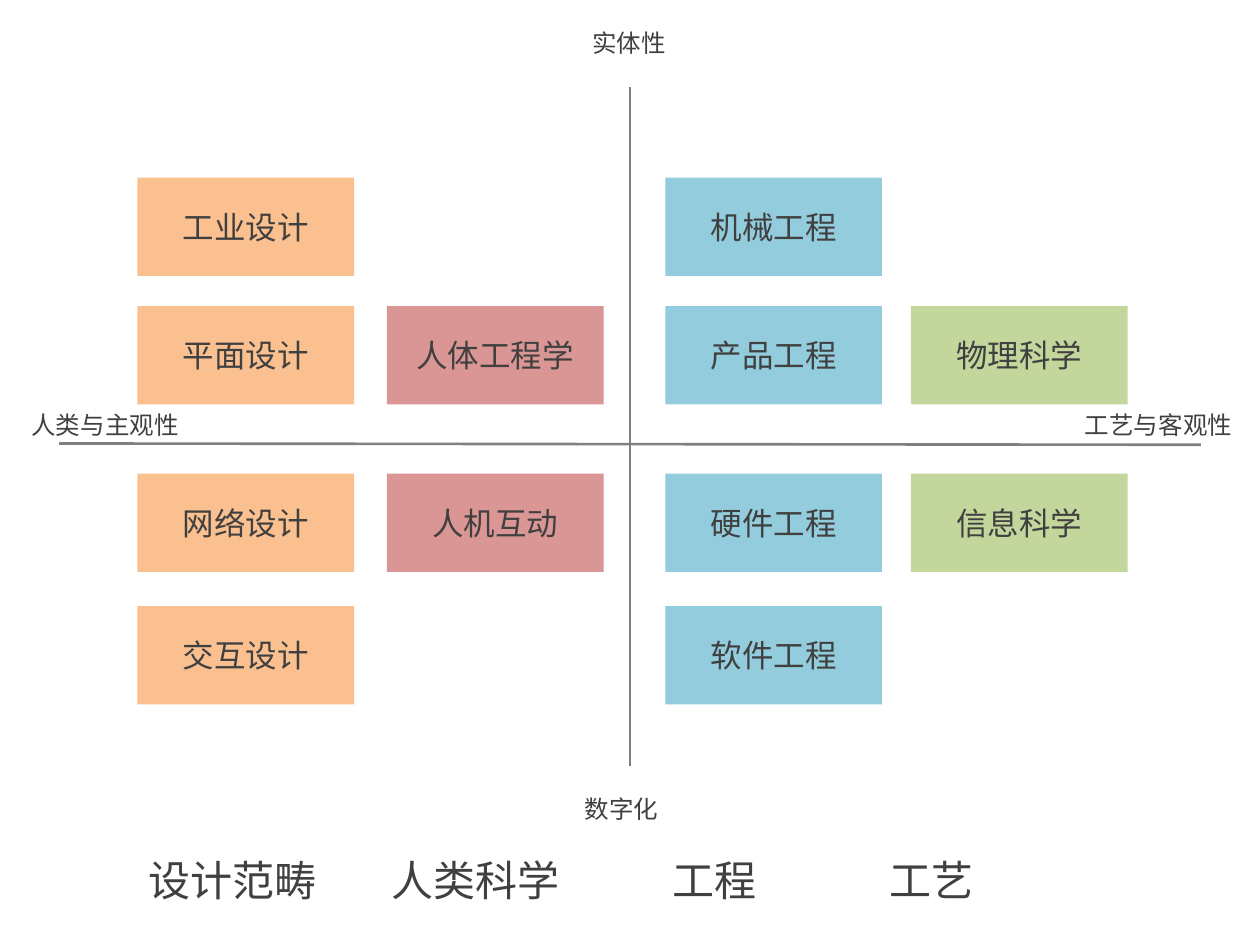
from lxml import etree
from pptx import Presentation
from pptx import util as u
from pptx.dml.color import RGBColor
from pptx.enum import shapes, text
from pptx.oxml import ns

FONT = "Noto Sans CJK SC"
COLORS = {
    "text": "404040",
    "axis": "808080",
    "design": "FAC090",
    "human": "D99694",
    "engineering": "93CDDD",
    "craft": "C3D69B",
}
CARD_WIDTH, CARD_HEIGHT = 1.72, 0.78
ROW_TOPS = [1.41, 2.43, 3.76, 4.81]
# Colour, left edge, first row, and the fields from top to bottom.
COLUMNS = [
    ("design", 1.09, 0, ["工业设计", "平面设计", "网络设计", "交互设计"]),
    ("human", 3.07, 1, ["人体工程学", "人机互动"]),
    ("engineering", 5.28, 0, ["机械工程", "产品工程", "硬件工程", "软件工程"]),
    ("craft", 7.23, 1, ["物理科学", "信息科学"]),
]
AXES = [((0.47, 3.52), (9.53, 3.53)), ((5, 0.69), (5, 6.08))]
AXIS_LABELS = [
    ("人类与主观性", 0.16, 3.19, 1.56),
    ("工艺与客观性", 8.52, 3.19, 1.56),
    ("实体性", 4.61, 0.16, 0.9),
    ("数字化", 4.55, 6.24, 0.9),
]
CATEGORIES = ["设计范畴", "人类科学", "工程", "工艺"]
CATEGORY_TABS = [1.93, 4.16, 5.88]


def color(name):
    return RGBColor.from_string(COLORS[name])


def add_child(parent, tag, **attributes):
    return etree.SubElement(parent, ns.qn(tag), **attributes)


def style_text(para, size):
    for span in para.runs:
        span.font.size = u.Pt(size)
        span.font.color.rgb = color("text")
        span.font.name = FONT
        add_child(span.font._element, "a:ea", typeface=FONT)


def add_card(page, label, fill, left, top):
    box = page.shapes.add_shape(
        shapes.MSO_SHAPE.RECTANGLE, u.Inches(left), u.Inches(top),
        u.Inches(CARD_WIDTH), u.Inches(CARD_HEIGHT))
    box.shadow.inherit = False
    box.fill.solid()
    box.fill.fore_color.rgb = color(fill)
    box.line.fill.background()
    box.text_frame.text = label
    box.text_frame.vertical_anchor = text.MSO_ANCHOR.MIDDLE
    para = box.text_frame.paragraphs[0]
    para.alignment = text.PP_ALIGN.CENTER
    style_text(para, 18)


def add_column(page, fill, left, first_row, labels):
    for label, top in zip(labels, ROW_TOPS[first_row:]):
        add_card(page, label, fill, left, top)


def add_axis(page, start, end):
    line = page.shapes.add_connector(
        shapes.MSO_CONNECTOR.STRAIGHT, *map(u.Inches, start + end))
    line.line.color.rgb = color("axis")
    line.line.width = u.Pt(1.5)
    add_child(line._element.spPr, "a:effectLst")


def add_label(page, label, left, top, width, size=14, tabs=()):
    box = page.shapes.add_textbox(
        u.Inches(left), u.Inches(top), u.Inches(width), u.Inches(0.39))
    frame = box.text_frame
    frame.word_wrap = True
    frame.margin_left = u.Inches(0.09)
    frame.margin_top = frame.margin_right = frame.margin_bottom = u.Inches(0.06)
    frame.text = label
    para = frame.paragraphs[0]
    if tabs:
        tab_list = add_child(para._p.get_or_add_pPr(), "a:tabLst")
        for stop in tabs:
            add_child(tab_list, "a:tab", pos=str(u.Inches(stop)), algn="l")
    style_text(para, size)


def add_category_line(page, left, top, width):
    add_label(page, "\t".join(CATEGORIES), left, top, width, 24, CATEGORY_TABS)


def main():
    deck = Presentation()
    deck.slide_width, deck.slide_height = u.Inches(10), u.Inches(7.5)
    page = deck.slides.add_slide(deck.slide_layouts[6])
    for start, end in AXES:
        add_axis(page, start, end)
    for column in COLUMNS:
        add_column(page, *column)
    for label in AXIS_LABELS:
        add_label(page, *label)
    add_category_line(page, 1.09, 6.72, 9.22)
    deck.save("out.pptx")


if __name__ == "__main__":
    main()
